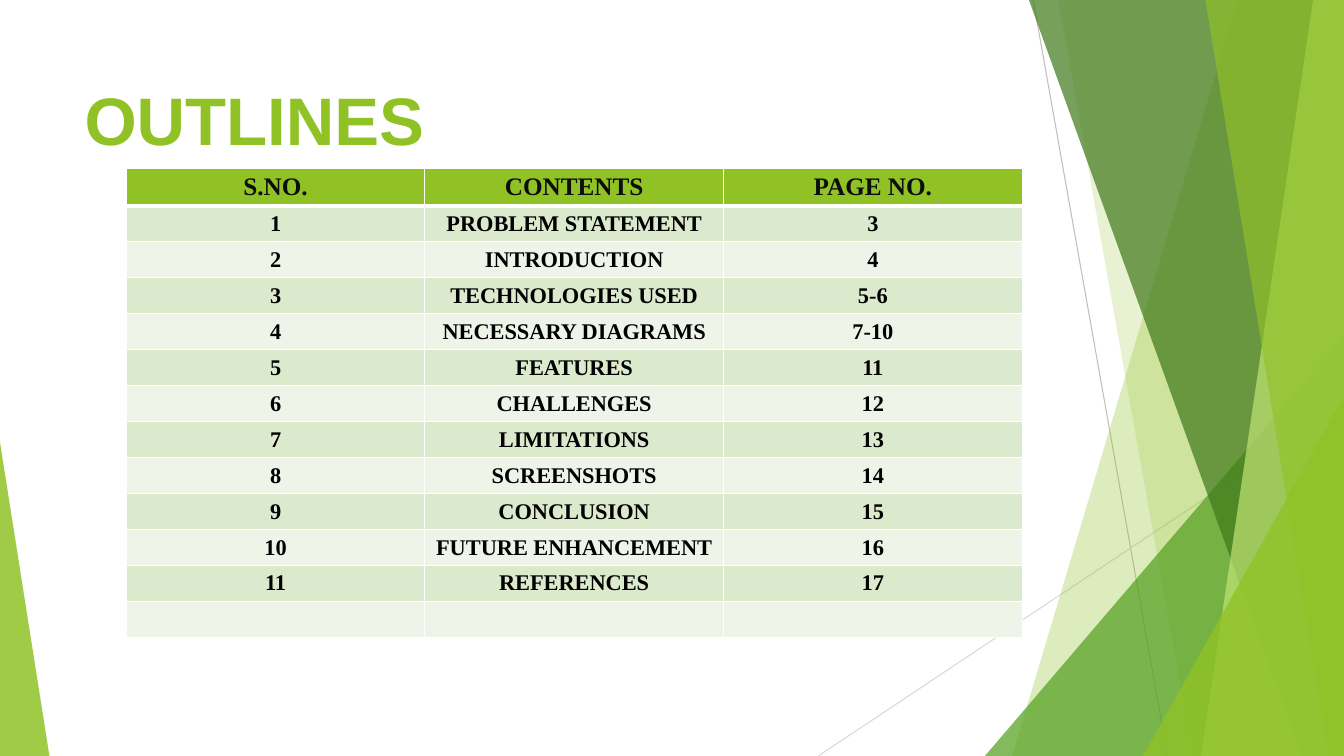
from lxml.etree import SubElement
from pptx import Presentation
from pptx.dml.color import RGBColor
from pptx.enum.shapes import MSO_CONNECTOR as Connector, MSO_SHAPE as Shape
from pptx.enum.text import MSO_ANCHOR as Anchor, PP_ALIGN as Align
from pptx.oxml.ns import qn
from pptx.util import Pt

WIDTH, HEIGHT = 960, 540
COLORS = {
    "lime": "90C226", "green": "54A021", "forest": "3F7819", "pale": "C0E474",
    "band": "DBE9CD", "light": "EEF4E8", "white": "FFFFFF", "black": "000000",
    "ink": "0D0D0D", "gray": "BFBFBF", "silver": "D9D9D9",
}
HEADINGS = ("S.NO.", "CONTENTS", "PAGE NO.")
CONTENTS = [
    ("PROBLEM STATEMENT", "3"), ("INTRODUCTION", "4"),
    ("TECHNOLOGIES USED", "5-6"), ("NECESSARY DIAGRAMS", "7-10"),
    ("FEATURES", "11"), ("CHALLENGES", "12"), ("LIMITATIONS", "13"),
    ("SCREENSHOTS", "14"), ("CONCLUSION", "15"),
    ("FUTURE ENHANCEMENT", "16"), ("REFERENCES", "17"),
]


def rgb(name):
    return RGBColor.from_string(COLORS[name])


def paint(shape, color, opacity):
    """Fill a shape with a see-through colour, without outline or shadow."""
    shape.shadow.inherit = False
    shape.line.fill.background()
    shape.fill.solid()
    shape.fill.fore_color.rgb = rgb(color)
    tint = shape.fill._xPr.find(qn("a:solidFill"))[0]
    SubElement(tint, qn("a:alpha")).set("val", str(opacity * 1000))


def add_line(page, start, end, color):
    line = page.shapes.add_connector(
        Connector.STRAIGHT, *(Pt(value) for value in start + end))
    line.line.color.rgb = rgb(color)
    line.line.width = Pt(0.75)
    SubElement(line._element.spPr, qn("a:effectLst"))


def add_panel(page, top_left, bottom_left, color, opacity):
    """Add a full-height panel that reaches the right edge of the slide."""
    builder = page.shapes.build_freeform(top_left, 0, scale=Pt(1))
    builder.add_line_segments(
        [(WIDTH, 0), (WIDTH, HEIGHT), (bottom_left, HEIGHT)], close=True)
    paint(builder.convert_to_shape(), color, opacity)


def add_triangle(page, left, top, width, peak, color, opacity):
    """Add a triangle that stands on the bottom edge of the slide."""
    shape = page.shapes.add_shape(
        Shape.ISOSCELES_TRIANGLE, Pt(left), Pt(top), Pt(width), Pt(HEIGHT - top))
    shape.adjustments[0] = peak
    paint(shape, color, opacity)


def add_span(para, text, font, size, color):
    span = para.add_run()
    span.text = text
    span.font.name = font
    span.font.size = Pt(size)
    span.font.bold = True
    span.font.color.rgb = rgb(color)


def add_title(page, text):
    box = page.shapes.add_textbox(Pt(53.3), Pt(48), Pt(677), Pt(104))
    frame = box.text_frame
    frame.word_wrap = True
    frame.margin_top = Pt(7.6)
    add_span(frame.paragraphs[0], text, "Arial", 48, "lime")


def add_borders(cell, top, bottom):
    properties = cell._tc.get_or_add_tcPr()
    for side, width in (("L", 1), ("R", 1), ("T", top), ("B", bottom)):
        line = SubElement(properties, qn(f"a:ln{side}"), w=str(Pt(width)))
        fill = SubElement(line, qn("a:solidFill"))
        SubElement(fill, qn("a:srgbClr"), val=COLORS["white"])


def fill_cell(cell, text, row):
    header = row == 0
    add_borders(cell, 3 if row == 1 else 1, 3 if header else 1)
    cell.fill.solid()
    cell.fill.fore_color.rgb = rgb(
        "lime" if header else "band" if row % 2 else "light")
    cell.vertical_anchor = Anchor.MIDDLE
    cell.margin_top = cell.margin_bottom = Pt(1)
    if text:
        para = cell.text_frame.paragraphs[0]
        para.alignment = Align.CENTER
        size, color = (18, "ink") if header else (16, "black")
        add_span(para, text, "Times New Roman", size, color)


def add_outline_table(page):
    numbered = [(str(number), *entry) for number, entry in enumerate(CONTENTS, 1)]
    rows = [HEADINGS, *numbered, ("", "", "")]
    table = page.shapes.add_table(
        len(rows), len(HEADINGS), Pt(90.2), Pt(120.4), Pt(640), Pt(335.3)).table
    for row, texts in enumerate(rows):
        table.rows[row].height = Pt(25.7 if row else 26.7)
        for column, text in enumerate(texts):
            fill_cell(table.cell(row, column), text, row)


def main():
    deck = Presentation()
    deck.slide_width, deck.slide_height = Pt(WIDTH), Pt(HEIGHT)
    page = deck.slides.add_slide(deck.slide_layouts[6])

    # Background facets, from back to front
    add_line(page, (738, 0), (834, HEIGHT), "gray")
    add_line(page, (WIDTH, 290), (584.5, HEIGHT), "silver")
    add_panel(page, 884, 723, "lime", 30)
    add_panel(page, 756, 852, "lime", 20)
    add_triangle(page, 703.5, 240, 256.5, 1, "green", 72)
    add_panel(page, 735, 929.5, "forest", 70)
    add_panel(page, 938, 858, "pale", 70)
    add_panel(page, 861, 949, "lime", 65)
    add_triangle(page, 816.5, 283, 143.5, 1, "lime", 80)
    add_triangle(page, 0, 316, 35.3, 0, "lime", 85)

    # Title and table of contents
    add_title(page, "OUTLINES")
    add_outline_table(page)
    deck.save("out.pptx")


if __name__ == "__main__":
    main()
